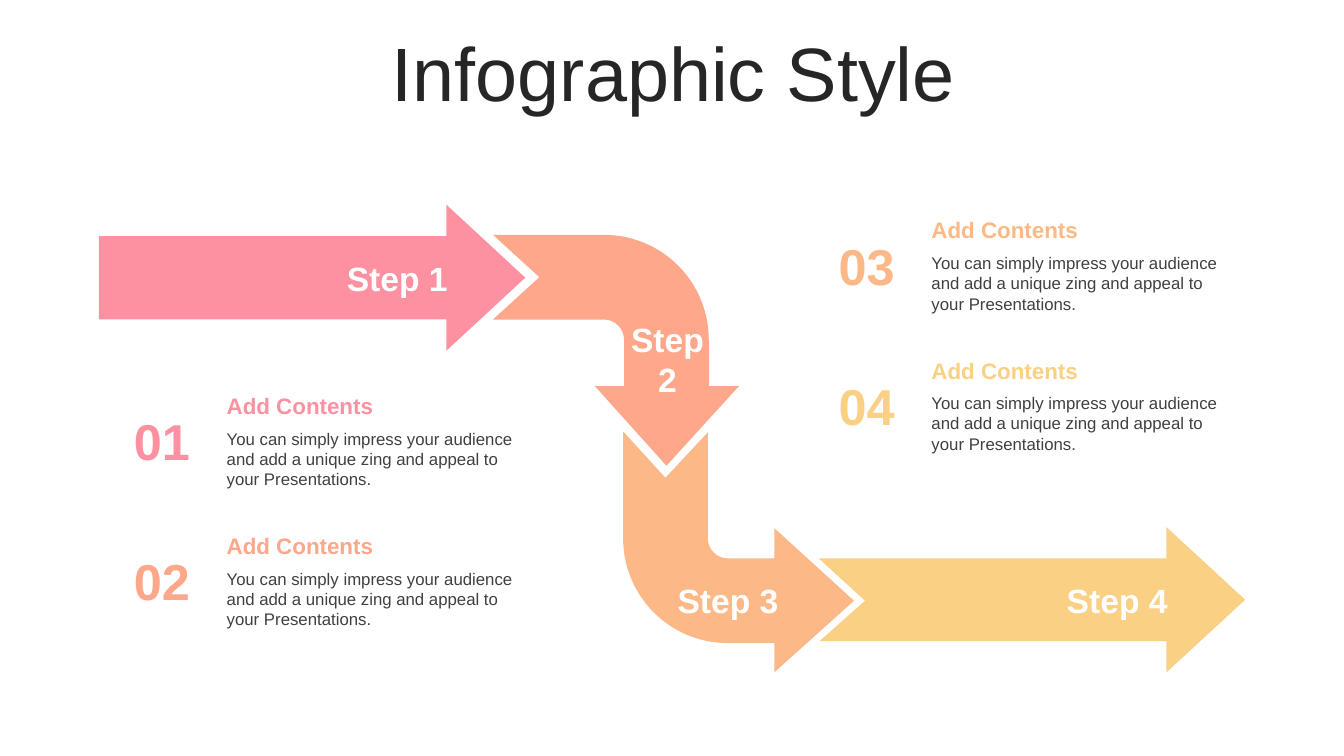
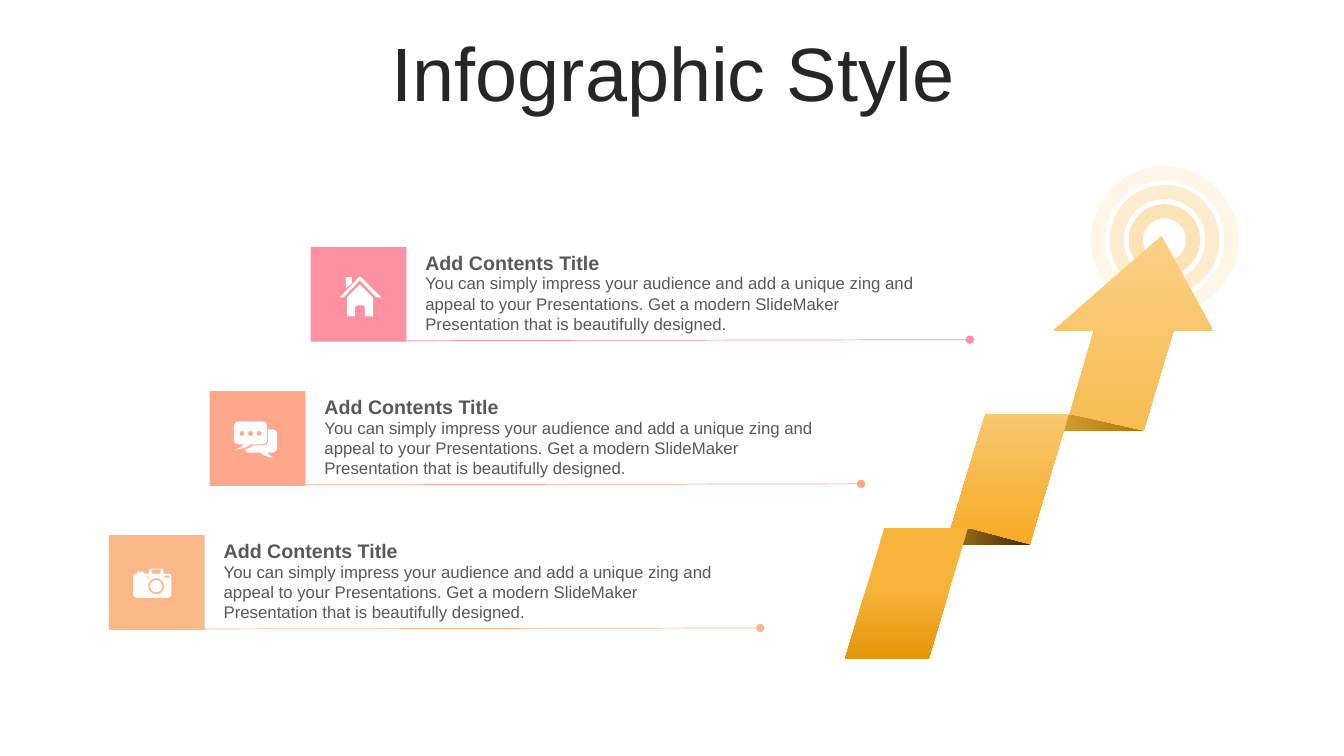
import pptx
import pptx.dml.color
import pptx.enum.shapes
import pptx.enum.text
import pptx.util
from lxml import etree

Inches = pptx.util.Inches
Pt = pptx.util.Pt
SHAPE = pptx.enum.shapes.MSO_SHAPE
ALIGN = pptx.enum.text.PP_ALIGN
ANCHOR = pptx.enum.text.MSO_ANCHOR

FONT = "Arial"
PINK, CORAL, ORANGE, YELLOW = "FD91A1", "FEA78B", "FCB987", "FAD085"
WHITE, INK, BODY, GREY = "FFFFFF", "262626", "404040", "595959"
DOWN, ACROSS = 270, 0

STEP_TEXT = ("You can simply impress your audience and add a unique zing "
             "and appeal to your Presentations.")
ROW_TEXT = STEP_TEXT + (" Get a modern SlideMaker Presentation "
                        "that is beautifully designed.")

# Outlines: a pair is a corner, six numbers are a Bezier curve.
BEND_DOWN = [[
    (4.89, 2.33), (5.99, 2.33), (6.57, 2.33, 7.03, 2.8, 7.03, 3.37),
    (7.03, 3.83), (7.33, 3.83), (6.61, 4.62), (5.9, 3.83), (6.19, 3.83),
    (6.19, 3.37), (6.19, 3.26, 6.1, 3.17, 5.99, 3.17), (4.89, 3.17),
    (5.35, 2.75)]]
BEND_RIGHT = [[
    (6.18, 4.28), (6.6, 4.74), (7.02, 4.29), (7.02, 5.34),
    (7.02, 5.45, 7.11, 5.54, 7.22, 5.54), (7.68, 5.54), (7.68, 5.24),
    (8.47, 5.96), (7.68, 6.67), (7.68, 6.38), (7.22, 6.38),
    (6.64, 6.38, 6.18, 5.91, 6.18, 5.34)]]
LAST_ARROW = [[
    (8.12, 5.54), (11.57, 5.54), (11.57, 5.23), (12.35, 5.95),
    (11.57, 6.67), (11.57, 6.36), (8.13, 6.36), (8.58, 5.96)]]
RIBBON_HEAD = [[
    (11.52, 2.34), (12.03, 3.28), (11.64, 3.28), (11.34, 4.28),
    (10.56, 4.28), (10.85, 3.28), (10.45, 3.28)]]
UPPER_FOLD = [[(11.34, 4.28), (10.63, 4.12), (9.78, 4.12), (10.29, 4.28)]]
LOWER_FOLD = [[(10.22, 5.41), (9.62, 5.25), (8.76, 5.24), (9.22, 5.41)]]


def circle(cx, cy, r):
    k = 0.55 * r
    return [(cx, cy - r),
            (cx + k, cy - r, cx + r, cy - k, cx + r, cy),
            (cx + r, cy + k, cx + k, cy + r, cx, cy + r),
            (cx - k, cy + r, cx - r, cy + k, cx - r, cy),
            (cx - r, cy - k, cx - k, cy - r, cx, cy - r)]


def box(x1, y1, x2, y2):
    return [(x1, y1), (x2, y1), (x2, y2), (x1, y2)]


HOUSE = [
    [(3.57, 2.82), (3.7, 2.95), (3.7, 3.14), (3.62, 3.14), (3.62, 3.06),
     (3.62, 3.04, 3.61, 3.03, 3.6, 3.03), (3.55, 3.03),
     (3.53, 3.03, 3.52, 3.04, 3.52, 3.06), (3.52, 3.14), (3.44, 3.14),
     (3.44, 2.95)],
    [(3.43, 2.75), (3.49, 2.75), (3.49, 2.81), (3.43, 2.86)],
    [(3.57, 2.74), (3.78, 2.95), (3.73, 2.95), (3.57, 2.78),
     (3.41, 2.95), (3.37, 2.95)]]
CHAT = [circle(x, 4.3, 0.025) for x in (2.4, 2.485, 2.57)] + [
    [(2.66, 4.26), (2.71, 4.26), (2.73, 4.26, 2.75, 4.28, 2.75, 4.3),
     (2.75, 4.44), (2.75, 4.47, 2.73, 4.49, 2.71, 4.49), (2.65, 4.49),
     (2.66, 4.5, 2.66, 4.51, 2.71, 4.54),
     (2.63, 4.53, 2.62, 4.52, 2.58, 4.49), (2.47, 4.49),
     (2.45, 4.49, 2.43, 4.48, 2.43, 4.46),
     (2.46, 4.45, 2.48, 4.44, 2.51, 4.42), (2.62, 4.42),
     (2.64, 4.42, 2.66, 4.4, 2.66, 4.38)],
    [(2.37, 4.18), (2.6, 4.18), (2.63, 4.18, 2.65, 4.2, 2.65, 4.23),
     (2.65, 4.37), (2.65, 4.39, 2.63, 4.41, 2.6, 4.41), (2.49, 4.41),
     (2.44, 4.44, 2.42, 4.45, 2.34, 4.46),
     (2.39, 4.43, 2.39, 4.44, 2.42, 4.41), (2.37, 4.41),
     (2.34, 4.41, 2.32, 4.39, 2.32, 4.37), (2.32, 4.23),
     (2.32, 4.2, 2.34, 4.18, 2.37, 4.18)]]
CAMERA = [
    circle(1.55, 5.815, 0.06), circle(1.55, 5.815, 0.08),
    box(1.45, 5.72, 1.48, 5.73), box(1.63, 5.71, 1.68, 5.73),
    box(1.51, 5.65, 1.59, 5.69),
    [(1.5, 5.64), (1.61, 5.64), (1.62, 5.65), (1.62, 5.69), (1.67, 5.69),
     (1.69, 5.69, 1.7, 5.7, 1.7, 5.72), (1.7, 5.9),
     (1.7, 5.91, 1.69, 5.93, 1.67, 5.93), (1.35, 5.93),
     (1.34, 5.93, 1.32, 5.91, 1.32, 5.9), (1.32, 5.72),
     (1.32, 5.7, 1.34, 5.69, 1.35, 5.69), (1.36, 5.69), (1.36, 5.67),
     (1.43, 5.67), (1.43, 5.69), (1.48, 5.69), (1.48, 5.65)]]


def color(hex_text):
    return pptx.dml.color.RGBColor.from_string(hex_text)


def paint(sp, fill):
    """Fill with one colour, or with (first, last, angle, start) as a gradient."""
    sp.shadow.inherit = False
    sp.line.fill.background()
    if isinstance(fill, str):
        sp.fill.solid()
        sp.fill.fore_color.rgb = color(fill)
        return
    first, last, angle, start = fill
    sp.fill.gradient()
    sp.fill.gradient_angle = angle
    for stop, position, tone in zip(sp.fill.gradient_stops, (start, 1),
                                    (first, last)):
        stop.position = position
        stop.color.rgb = color(tone)


def add_shape(s, kind, x, y, w, h, fill):
    sp = s.shapes.add_shape(kind, Inches(x), Inches(y), Inches(w), Inches(h))
    paint(sp, fill)
    return sp


def add_outline(s, contours, fill):
    """Draw the end points as a freeform, then bend its curved segments."""
    first, *others = [[(Inches(n[-2]), Inches(n[-1])) for n in c]
                      for c in contours]
    builder = s.shapes.build_freeform(*first[0])
    builder.add_line_segments(first[1:])
    for ends in others:
        builder.move_to(*ends[0])
        builder.add_line_segments(ends[1:])
    sp = builder.convert_to_shape()
    paint(sp, fill)

    ns = "{%s}" % sp._element.nsmap["a"]
    segments = list(sp._element.iter(ns + "lnTo"))
    nodes = [n for c in contours for n in c[1:]]
    for segment, node in zip(segments, nodes):
        if len(node) == 6:
            segment.tag = ns + "cubicBezTo"
            for i in (0, 2):
                pt = etree.Element(ns + "pt", x=str(Inches(node[i]) - sp.left),
                                   y=str(Inches(node[i + 1]) - sp.top))
                segment.insert(i // 2, pt)


def add_text(s, x, y, w, h, lines, size, tone, bold=False, align=ALIGN.LEFT):
    tb = s.shapes.add_textbox(Inches(x), Inches(y), Inches(w), Inches(h))
    tf = tb.text_frame
    tf.word_wrap = True
    for i, line in enumerate(lines):
        p = tf.add_paragraph() if i else tf.paragraphs[0]
        p.alignment = align
        r = p.add_run()
        r.text = line
        r.font.name = FONT
        r.font.size = Pt(size)
        r.font.bold = bold
        r.font.color.rgb = color(tone)
    return tf


def add_title(s, text):
    tf = add_text(s, 0.35, 0.37, 12.66, 0.79, [text], 54, INK,
                  align=ALIGN.CENTER)
    tf.vertical_anchor = ANCHOR.MIDDLE
    tf.paragraphs[0].line_spacing = 0.9


def add_dotted_end_line(s, x1, y1, x2, y2, tone):
    line = s.shapes.add_connector(pptx.enum.shapes.MSO_CONNECTOR.STRAIGHT,
                                  Inches(x1), Inches(y1), Inches(x2), Inches(y2))
    line.line.color.rgb = color(tone)
    line.line.width = Pt(0.5)
    ln = line.line._get_or_add_ln()
    ns = "{%s}" % ln.nsmap["a"]
    etree.SubElement(ln, ns + "tailEnd", type="oval")
    etree.SubElement(line._element.spPr, ns + "effectLst")


def add_ring(s, cx, cy, diameter, tone):
    r = diameter / 2
    sp = add_shape(s, SHAPE.OVAL, cx - r, cy - r, diameter, diameter, tone)
    sp.fill.background()
    sp.line.color.rgb = color(tone)
    sp.line.width = Pt(10)


def add_ribbon_band(s, x, y, fill):
    band = add_shape(s, SHAPE.PARALLELOGRAM, x, y, 1.22, 1.3, fill)
    band.adjustments[0] = 0.32


def add_numbered_item(s, x, y, number, tone):
    add_text(s, x, y + 0.18, 0.95, 0.71, [number], 36, tone, True, ALIGN.CENTER)
    add_text(s, x + 1.02, y, 3.08, 0.37, ["Add Contents"], 16, tone, True)
    add_text(s, x + 1.02, y + 0.36, 3.08, 0.71, [STEP_TEXT], 12, BODY)


def add_icon_row(s, x, y, line_end, tone, icon):
    add_dotted_end_line(s, line_end - 5.59, y + 0.93, line_end, y + 0.92, tone)
    add_text(s, x + 1.04, y + 0.21, 5.1, 0.71, [ROW_TEXT], 12, GREY)
    add_text(s, x + 1.04, y - 0.01, 5.1, 0.34, ["Add Contents Title"], 14,
             GREY, True)
    add_shape(s, SHAPE.RECTANGLE, x, y, 0.95, 0.94, tone)
    add_outline(s, icon, WHITE)


def steps_slide(s):
    add_title(s, "Infographic Style")
    add_outline(s, BEND_RIGHT, ORANGE)
    add_outline(s, BEND_DOWN, CORAL)
    arrow = add_shape(s, SHAPE.RIGHT_ARROW, 0.98, 2.03, 4.23, 1.45, PINK)
    arrow.adjustments[0], arrow.adjustments[1] = 0.57, 0.54
    add_outline(s, LAST_ARROW, YELLOW)
    for x, y, h, lines in ((3.1, 2.51, 0.5, ["Step 1"]),
                           (5.78, 3.11, 0.91, ["Step", "2"]),
                           (6.38, 5.7, 0.5, ["Step 3"]),
                           (10.24, 5.7, 0.5, ["Step 4"])):
        add_text(s, x, y, 1.68, h, lines, 24, WHITE, True, ALIGN.CENTER)
    for i, tone in enumerate((PINK, CORAL, ORANGE, YELLOW)):
        x, top = ((1.13, 3.84), (8.12, 2.1))[i // 2]
        add_numbered_item(s, x, top + i % 2 * 1.39, f"{i + 1:02}", tone)


def ribbon_slide(s):
    add_title(s, "Infographic Style")
    for diameter, tone in ((0.95, "FDECCE"), (0.57, "FCE3B6"),
                           (1.32, "FEF6E7")):
        add_ring(s, 11.55, 2.38, diameter, tone)

    add_outline(s, RIBBON_HEAD, ("FAD085", "F8BC51", DOWN, 0))
    add_outline(s, UPPER_FOLD, ("F8C260", "B17407", ACROSS, 0))
    add_ribbon_band(s, 9.38, 4.11, ("F9C76F", "F6AA22", DOWN, 0))
    add_outline(s, LOWER_FOLD, ("F7B134", "3F2903", ACROSS, 0))
    add_ribbon_band(s, 8.38, 5.24, ("F7B43B", "E49609", DOWN, 0.44))

    rows = ((9.62, PINK, HOUSE), (8.54, CORAL, CHAT), (7.54, ORANGE, CAMERA))
    for i, (line_end, tone, icon) in enumerate(rows):
        add_icon_row(s, 3.08 - i, 2.45 + 1.43 * i, line_end, tone, icon)


def main():
    prs = pptx.Presentation()
    prs.slide_width, prs.slide_height = Inches(13.33), Inches(7.5)
    for build in (steps_slide, ribbon_slide):
        build(prs.slides.add_slide(prs.slide_layouts[6]))
    prs.save("out.pptx")


if __name__ == "__main__":
    main()
